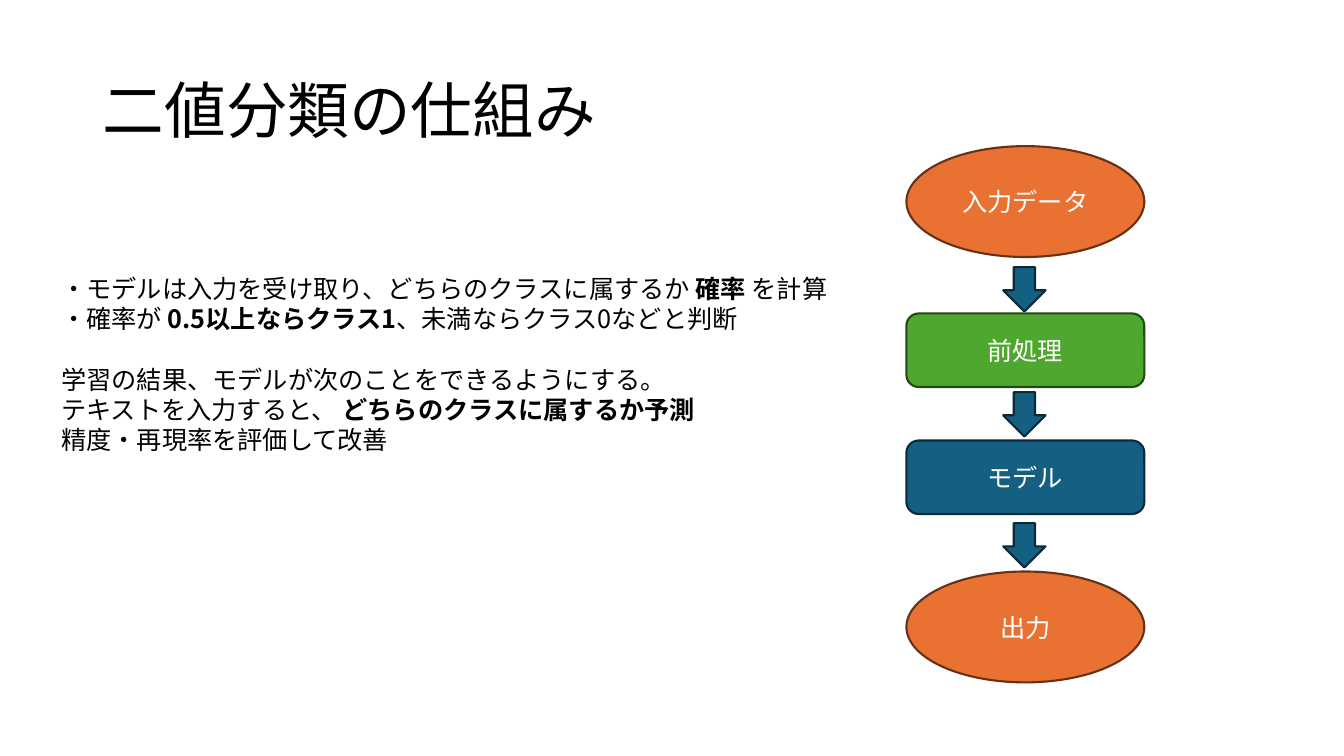
from dataclasses import dataclass

from lxml.etree import SubElement
from pptx import Presentation
from pptx.dml.color import RGBColor
from pptx.enum.shapes import MSO_SHAPE as Preset
from pptx.enum.text import MSO_ANCHOR as Anchor, PP_ALIGN as Align
from pptx.oxml.ns import qn
from pptx.slide import Slide
from pptx.util import Inches, Pt

BLACK = RGBColor(0x00, 0x00, 0x00)
WHITE = RGBColor(0xFF, 0xFF, 0xFF)
ORANGE = RGBColor(0xE9, 0x71, 0x32)
BROWN = RGBColor(0x66, 0x32, 0x16)
GREEN = RGBColor(0x4E, 0xA7, 0x2E)
DARK_GREEN = RGBColor(0x22, 0x49, 0x14)
BLUE = RGBColor(0x15, 0x60, 0x82)
NAVY = RGBColor(0x09, 0x2A, 0x39)

ENDPOINT = (Preset.OVAL, ORANGE, BROWN)
STEPS = [
    ("入力データ", 1.45, 1.1, ENDPOINT),
    ("前処理", 3.11, 0.73, (Preset.ROUNDED_RECTANGLE, GREEN, DARK_GREEN)),
    ("モデル", 4.37, 0.73, (Preset.ROUNDED_RECTANGLE, BLUE, NAVY)),
    ("出力", 5.67, 1.1, ENDPOINT),
]
ARROW = (Preset.DOWN_ARROW, BLUE, NAVY)
ARROW_TOPS = [2.65, 3.89, 5.19]

MECHANISM = [
    [("・モデルは入力を受け取り、どちらのクラスに属するか ", False), ("確率", True), (" を計算", False)],
    [("・確率が ", False), ("0.5以上ならクラス1", True), ("、未満ならクラス0などと判断", False)],
]
GOALS = [
    [("学習の結果、モデルが次のことをできるようにする。", False)],
    [("テキストを入力すると、 ", False), ("どちらのクラスに属するか予測", True)],
    [("精度・再現率を評価して改善", False)],
]


def apply_format(target, values):
    for name, value in values.items():
        setattr(target, name, value)


@dataclass
class FlowPage:
    page: Slide
    font: str = "Noto Sans CJK JP"
    body_size: float = 18
    title_size: float = 44
    line_pitch: float = 21.6
    outline: float = 1.5

    def add_span(self, para, text, size, color, bold=False):
        span = para.add_run()
        span.text = text
        span.font.color.rgb = color
        apply_format(span.font, {"name": self.font, "size": Pt(size), "bold": bold})
        SubElement(span._r.get_or_add_rPr(), qn("a:ea"), typeface=self.font)

    def title(self, text, left, top, width, height):
        box = self.page.shapes.title
        apply_format(box, {"left": Inches(left), "top": Inches(top),
                           "width": Inches(width), "height": Inches(height)})
        apply_format(box.text_frame, {"vertical_anchor": Anchor.MIDDLE, "word_wrap": True})
        para = box.text_frame.paragraphs[0]
        apply_format(para, {"alignment": Align.LEFT, "line_spacing": 0.9})
        self.add_span(para, text, self.title_size, BLACK)

    def shape(self, style, left, top, width, height, text=""):
        preset, fill, line = style
        box = self.page.shapes.add_shape(
            preset, Inches(left), Inches(top), Inches(width), Inches(height))
        box.shadow.inherit = False
        box.fill.solid()
        box.fill.fore_color.rgb = fill
        box.line.color.rgb = line
        box.line.width = Pt(self.outline)
        if text:
            box.text_frame.vertical_anchor = Anchor.MIDDLE
            para = box.text_frame.paragraphs[0]
            para.alignment = Align.CENTER
            self.add_span(para, text, self.body_size, WHITE)

    def body(self, groups, left, top, width, height):
        box = self.page.shapes.add_textbox(
            Inches(left), Inches(top), Inches(width), Inches(height))
        frame = box.text_frame
        apply_format(frame, {"word_wrap": True, "margin_top": Inches(0.07)})
        para = None
        for group_index, group in enumerate(groups):
            for line_index, spans in enumerate(group):
                para = frame.paragraphs[0] if para is None else frame.add_paragraph()
                starts_group = group_index > 0 and line_index == 0
                apply_format(para, {
                    "line_spacing": Pt(self.line_pitch),
                    "space_before": Pt(self.line_pitch if starts_group else 0),
                })
                for text, bold in spans:
                    self.add_span(para, text, self.body_size, BLACK, bold)


def main():
    deck = Presentation()
    apply_format(deck, {"slide_width": Inches(13.33), "slide_height": Inches(7.5)})
    flow = FlowPage(deck.slides.add_slide(deck.slide_layouts[5]))
    flow.title("二値分類の仕組み", 0.92, 0.4, 11.5, 1.45)
    for text, top, height, style in STEPS:
        flow.shape(style, 8.99, top, 2.36, height, text)
    for top in ARROW_TOPS:
        flow.shape(ARROW, 9.95, top, 0.42, 0.44)
    flow.body([MECHANISM, GOALS], 0.51, 2.64, 8.16, 2.22)
    deck.save("out.pptx")


if __name__ == "__main__":
    main()
